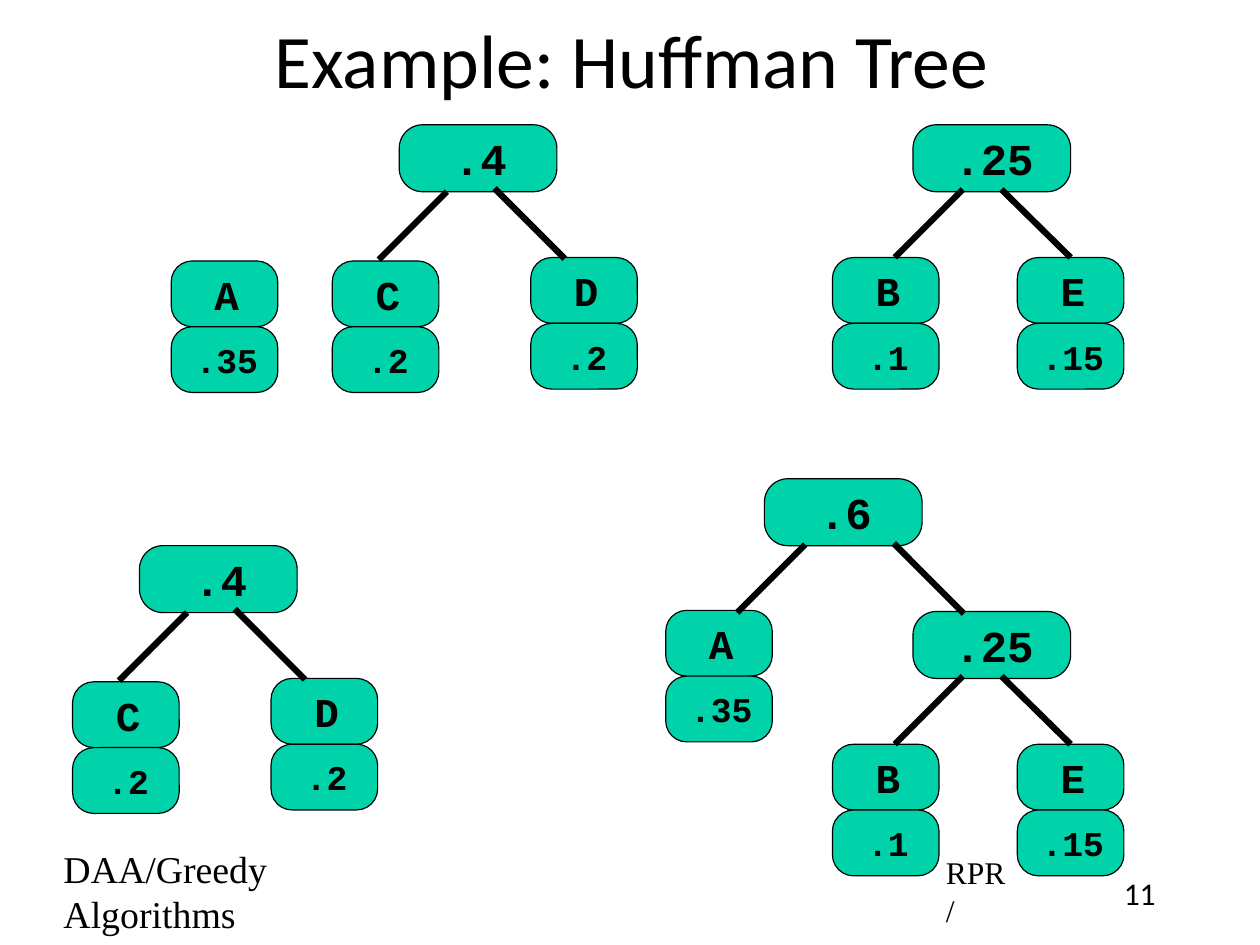
from dataclasses import dataclass

from lxml import etree
from pptx import Presentation
from pptx import util as u
from pptx.dml.color import RGBColor
from pptx.enum import shapes, text
from pptx.oxml.ns import qn

MID, TOP = text.MSO_ANCHOR.MIDDLE, text.MSO_ANCHOR.TOP
LEFT, CENTER = text.PP_ALIGN.LEFT, text.PP_ALIGN.CENTER


@dataclass
class Theme:
    ink: RGBColor = RGBColor(0, 0, 0)
    node: RGBColor = RGBColor(0x00, 0xD2, 0xA9)
    sans: str = "Calibri"
    serif: str = "Times New Roman"
    mono: str = "Courier New"
    title: int = 48
    foot: int = 24
    small: int = 20
    root: int = 28
    letter: int = 26
    weight: int = 22
    edge: float = 0.75
    branch: int = 4


class Board:
    """Draws Huffman trees and labels on the current slide."""

    def __init__(self, slide, theme):
        self.slide = slide
        self.theme = theme

    def fill_text(self, shape, words, size, font, align=CENTER, anchor=MID,
                  bold=False, indent=0.04):
        frame = shape.text_frame
        frame.text = words
        frame.word_wrap = True
        frame.vertical_anchor = anchor
        frame.margin_left = frame.margin_right = u.Inches(0.06)
        frame.margin_top = frame.margin_bottom = u.Inches(0.06)
        para = frame.paragraphs[0]
        para.alignment = align
        para._p.get_or_add_pPr().set("marL", str(u.Inches(indent)))
        for run in para.runs:
            run.font.size = u.Pt(size)
            run.font.name = font
            run.font.bold = bold
            run.font.color.rgb = self.theme.ink

    def label(self, words, area, size, font, **style):
        box = self.slide.shapes.add_textbox(*map(u.Inches, area))
        self.fill_text(box, words, size, font, **style)

    def node(self, words, area, size, bend):
        box = self.slide.shapes.add_shape(
            shapes.MSO_SHAPE.ROUNDED_RECTANGLE, *map(u.Inches, area))
        box.adjustments[0] = bend
        box.shadow.inherit = False
        box.fill.solid()
        box.fill.fore_color.rgb = self.theme.node
        box.line.color.rgb = self.theme.ink
        box.line.width = u.Pt(self.theme.edge)
        self.fill_text(box, words, size, self.theme.mono, bold=True)
        return box

    def leaf(self, letter, weight, x, y):
        high = 0.58
        top = self.node(letter, (x, y, 0.94, high), self.theme.letter, 0.32)
        self.node(weight, (x, y + high, 0.94, high), self.theme.weight, 0.32)
        return top

    def root(self, weight, x, y):
        self.node(weight, (x, y, 1.39, 0.59), self.theme.root, 0.35)

    def branch(self, x, y, run, rise, child=None):
        line = self.slide.shapes.add_connector(
            shapes.MSO_CONNECTOR.STRAIGHT,
            *map(u.Inches, (x, y, x + run, y + rise)))
        if child is not None:
            line.end_connect(child, 0)
        line.line.color.rgb = self.theme.ink
        line.line.width = u.Pt(self.theme.branch)
        etree.SubElement(line._element.spPr, qn("a:effectLst"))

    def fork(self, x, y, left, right, child=None):
        self.branch(x + left[0], y + left[1], -0.6, 0.6)
        self.branch(x + right[0], y + right[1], 0.62, 0.62, child)

    def tree_cd(self, x, y):
        self.leaf("C", ".2", x - 0.59, y + 1.2)
        self.leaf("D", ".2", x + 1.16, y + 1.17)
        self.root(".4", x, y)
        self.fork(x, y, (0.42, 0.59), (0.84, 0.56))

    def tree_be(self, x, y):
        self.leaf("B", ".1", x - 0.71, y + 1.17)
        last = self.leaf("E", ".15", x + 0.92, y + 1.17)
        self.root(".25", x, y)
        self.fork(x, y, (0.44, 0.57), (0.78, 0.57), last)


def main():
    deck = Presentation()
    deck.slide_width = u.Inches(11.11)
    deck.slide_height = u.Inches(8.33)
    look = Theme()
    board = Board(deck.slides.add_slide(deck.slide_layouts[6]), look)

    board.label("Example: Huffman Tree", (0.83, 0.07, 9.44, 0.89),
                look.title, look.sans)
    board.label("11", (9.72, 7.64, 0.66, 0.42), look.small, look.sans,
                anchor=TOP, indent=0)
    board.label("DAA/Greedy Algorithms", (0.46, 7.62, 3.5, 0.47),
                look.foot, look.serif, align=LEFT)
    board.label("RPR/", (8.24, 7.64, 0.74, 0.42), look.small, look.serif,
                align=LEFT)

    board.leaf("A", ".35", 1.51, 2.3)
    board.tree_be(8.05, 1.1)
    board.tree_cd(3.52, 1.1)
    board.tree_cd(1.23, 4.81)

    board.leaf("A", ".35", 5.87, 5.38)
    board.tree_be(8.05, 5.39)
    board.root(".6", 6.74, 4.22)
    board.fork(6.74, 4.22, (0.36, 0.58), (1.14, 0.57))

    deck.save("out.pptx")


if __name__ == "__main__":
    main()
